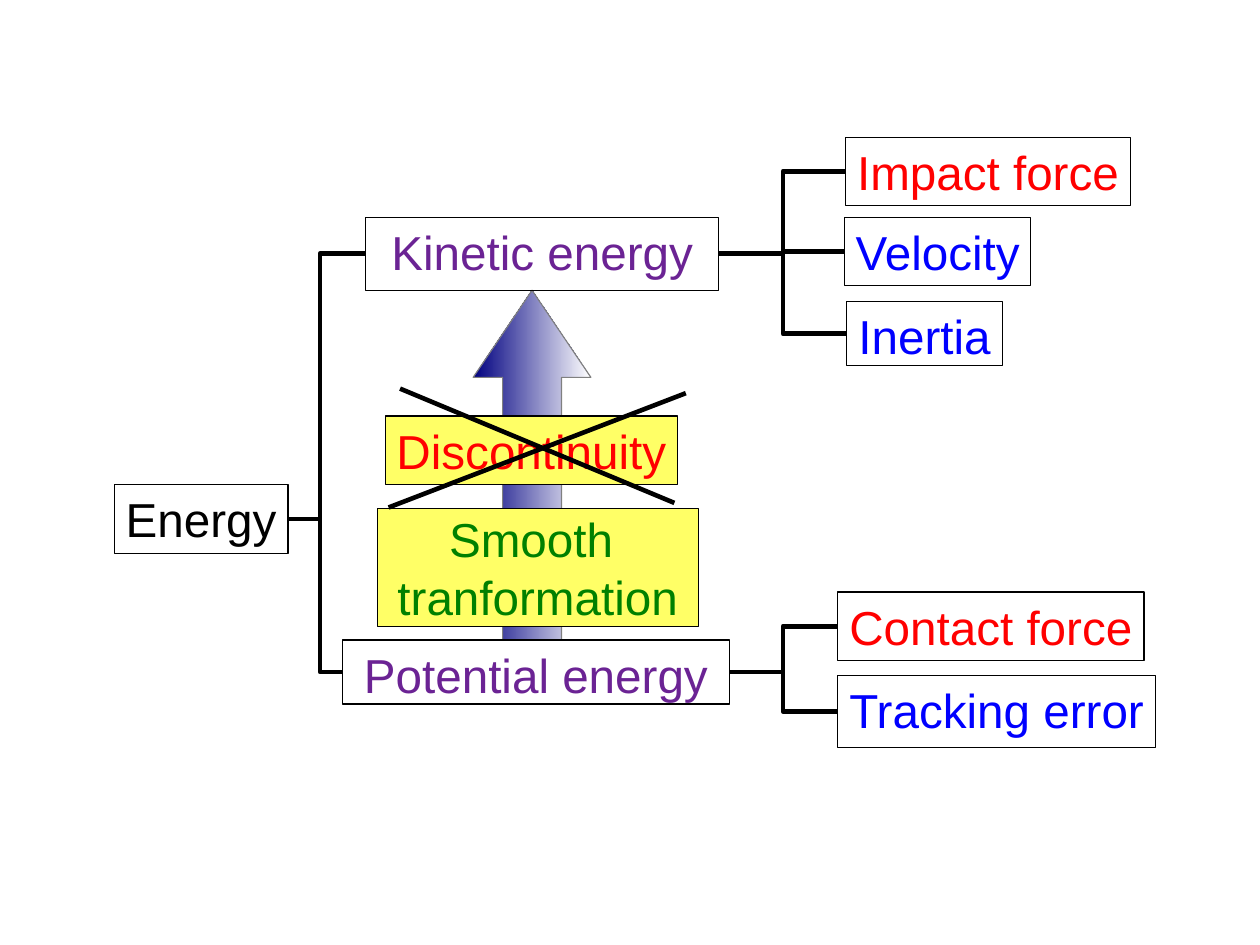
from lxml.etree import SubElement
from pptx import Presentation
from pptx.dml.color import RGBColor
from pptx.enum.shapes import MSO_CONNECTOR as CONNECTOR, MSO_SHAPE as SHAPE
from pptx.enum.text import MSO_ANCHOR as ANCHOR, PP_ALIGN as ALIGN
from pptx.oxml.ns import qn
from pptx.util import Inches, Pt

COLORS = {
    "black": "000000", "purple": "6B2394", "blue": "0000FF", "red": "FF0000",
    "green": "008000", "yellow": "FFFF66", "navy": "000080", "white": "FFFFFF",
    "gray": "808080",
}
LEFT_SITE, RIGHT_SITE = 1, 3
CM_PER_INCH = 2.54


def color(name):
    return RGBColor.from_string(COLORS[name])


def add_line(kind, x1, y1, x2, y2):
    line = slide.shapes.add_connector(
        kind, Inches(x1), Inches(y1), Inches(x2), Inches(y2))
    line.line.color.rgb = color("black")
    line.line.width = Pt(2.89)
    SubElement(line._element.spPr, qn("a:effectLst"))
    return line


# Custom page of 28 by 21 cm, without the template's screen preset
presentation = Presentation()
presentation.slide_width = Inches(28 / CM_PER_INCH)
presentation.slide_height = Inches(21 / CM_PER_INCH)
presentation.element.sldSz.attrib.pop("type", None)
slide = presentation.slides.add_slide(presentation.slide_layouts[6])

# Gradient arrow from potential to kinetic energy
arrow = slide.shapes.add_shape(
    SHAPE.UP_ARROW, Inches(4.14), Inches(2.54), Inches(1.03), Inches(3.06))
arrow.shadow.inherit = False
arrow.adjustments[0] = 0.5
arrow.adjustments[1] = 0.74
arrow.fill.gradient()
arrow.fill.gradient_angle = 0
for stop, name, position in zip(arrow.fill.gradient_stops, ("navy", "white"), (0, 1)):
    stop.color.rgb = color(name)
    stop.position = position
arrow.line.color.rgb = color("gray")
arrow.line.width = Pt(0)

# Labelled boxes: text, left, top, width, height, text colour, fill
boxes = [
    ("Energy", 1, 4.24, 1.52, 0.6, "black", None),
    ("Kinetic energy", 3.2, 1.9, 3.09, 0.64, "purple", None),
    ("Potential energy", 3, 5.6, 3.38, 0.56, "purple", None),
    ("Impact force", 7.4, 1.2, 2.49, 0.6, "red", None),
    ("Velocity", 7.39, 1.9, 1.63, 0.6, "blue", None),
    ("Inertia", 7.41, 2.64, 1.36, 0.56, "blue", None),
    ("Contact force", 7.33, 5.18, 2.68, 0.6, "red", None),
    ("Tracking error", 7.33, 5.91, 2.78, 0.63, "blue", None),
    ("Smooth \ntranformation", 3.3, 4.45, 2.81, 1.03, "green", "yellow"),
    ("Discontinuity", 3.37, 3.64, 2.56, 0.6, "red", "yellow"),
]
box_shapes = {}
for text, left, top, width, height, text_color, fill in boxes:
    shape = slide.shapes.add_shape(
        SHAPE.RECTANGLE, Inches(left), Inches(top), Inches(width), Inches(height))
    shape.shadow.inherit = False
    if fill:
        shape.fill.solid()
        shape.fill.fore_color.rgb = color(fill)
    else:
        shape.fill.background()
    shape.line.color.rgb = color("black")
    shape.line.width = Pt(0.71 if text == "Kinetic energy" else 0)
    frame = shape.text_frame
    frame.word_wrap = False
    lines = text.split("\n")
    frame.vertical_anchor = ANCHOR.MIDDLE if len(lines) > 1 else ANCHOR.TOP
    paragraph = frame.paragraphs[0]
    paragraph.alignment = ALIGN.CENTER
    for index, words in enumerate(lines):
        if index:
            paragraph.add_line_break()
        run = paragraph.add_run()
        run.text = words
        run.font.name = "Arial"
        run.font.size = Pt(30)
        run.font.color.rgb = color(text_color)
    box_shapes[text] = shape

# Tree branches: parent, x of the shared trunk, children
branches = [
    ("Energy", 2.8, ("Kinetic energy", "Potential energy")),
    ("Kinetic energy", 6.85, ("Impact force", "Velocity", "Inertia")),
    ("Potential energy", 6.85, ("Contact force", "Tracking error")),
]
for parent, trunk, children in branches:
    for child in children:
        branch = add_line(CONNECTOR.ELBOW, 0, 0, 1, 1)
        branch.begin_connect(box_shapes[parent], RIGHT_SITE)
        branch.end_connect(box_shapes[child], LEFT_SITE)
        bend = (Inches(trunk) - branch.begin_x) / (branch.end_x - branch.begin_x)
        guides = branch._element.spPr.prstGeom.get_or_add_avLst()
        SubElement(guides, qn("a:gd"), name="adj1", fmla=f"val {round(bend * 100000)}")

# Cross over the discontinuity
add_line(CONNECTOR.STRAIGHT, 6, 3.44, 3.4, 4.44)
add_line(CONNECTOR.STRAIGHT, 3.5, 3.4, 5.9, 4.4)

presentation.save("out.pptx")
